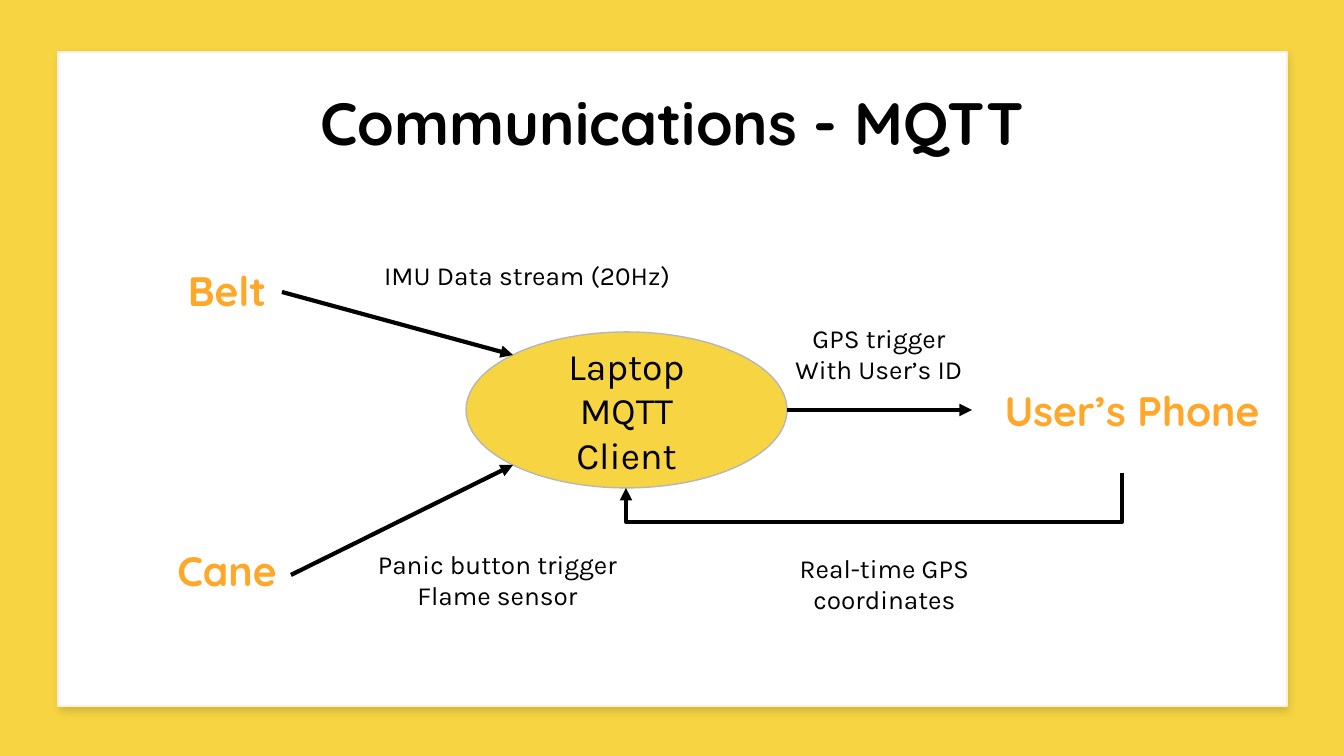
from dataclasses import dataclass

from lxml.etree import SubElement
from pptx import Presentation
from pptx.dml.color import RGBColor
from pptx.enum.shapes import MSO_CONNECTOR as Conn, MSO_SHAPE as Shape
from pptx.enum.text import MSO_ANCHOR as Anchor, PP_ALIGN as Align
from pptx.oxml.ns import qn
from pptx.util import Emu, Inches, Pt

EMU_PER_PX = 914400 / 134.4


@dataclass(frozen=True)
class Theme:
    yellow: str = "F6D442"
    cream: str = "FFEFDD"
    white: str = "FFFFFF"
    orange: str = "FFA728"
    ink: str = "010101"
    black: str = "000000"
    grey: str = "B7B7B7"
    head_font: str = "Quicksand"
    body_font: str = "Karla"
    title: int = 32
    device: int = 22
    hub: int = 20
    note: int = 14
    outline: float = 0.75
    arrow: float = 2.25


def px(n):
    return Emu(round(n * EMU_PER_PX))


def rgb(code):
    return RGBColor.from_string(code)


class Deck:
    def __init__(self, theme):
        self.theme = theme
        self.prs = Presentation()
        self.prs.slide_width, self.prs.slide_height = px(1344), px(756)
        self.slide = None

    def new_slide(self):
        self.slide = self.prs.slides.add_slide(self.prs.slide_layouts[6])
        fill = self.slide.background.fill
        fill.solid()
        fill.fore_color.rgb = rgb(self.theme.yellow)

    def shape(self, kind, box, fill, line=None):
        sp = self.slide.shapes.add_shape(kind, *map(px, box))
        sp.shadow.inherit = False
        sp.fill.solid()
        sp.fill.fore_color.rgb = rgb(fill)
        if line:
            sp.line.color.rgb = rgb(line)
            sp.line.width = Pt(self.theme.outline)
        else:
            sp.line.fill.background()
        return sp

    def drop_shadow(self, sp, blur, dist, angle, opacity):
        effects = sp._element.spPr.find(qn("a:effectLst"))
        shadow = SubElement(effects, qn("a:outerShdw"), blurRad=str(Pt(blur)),
                            dist=str(Pt(dist)), dir=str(angle * 60000),
                            algn="bl", rotWithShape="0")
        color = SubElement(shadow, qn("a:srgbClr"), val=self.theme.black)
        SubElement(color, qn("a:alpha"), val=str(opacity * 1000))

    def add_text(self, sp, lines, font, size, color, bold=False,
                 align=Align.CENTER, anchor=Anchor.MIDDLE):
        tf = sp.text_frame
        tf.word_wrap = True
        tf.vertical_anchor = anchor
        tf.margin_left = tf.margin_right = Inches(0.1)
        tf.margin_top = tf.margin_bottom = Inches(0.1)
        for i, line in enumerate(lines):
            p = tf.add_paragraph() if i else tf.paragraphs[0]
            p.alignment = align
            r = p.add_run()
            r.text = line
            r.font.name, r.font.size, r.font.bold = font, Pt(size), bold
            r.font.color.rgb = rgb(color)

    def heading(self, text, box, size, color):
        sp = self.slide.shapes.add_textbox(*map(px, box))
        self.add_text(sp, [text], self.theme.head_font, size, color, bold=True)

    def note(self, lines, box, align=Align.CENTER):
        sp = self.slide.shapes.add_textbox(*map(px, box))
        self.add_text(sp, lines, self.theme.body_font, self.theme.note,
                      self.theme.black, align=align, anchor=Anchor.TOP)

    def arrow(self, start, end, kind=Conn.STRAIGHT):
        cx = self.slide.shapes.add_connector(kind, *map(px, start + end))
        cx.line.color.rgb = rgb(self.theme.ink)
        cx.line.width = Pt(self.theme.arrow)
        spPr = cx._element.spPr
        SubElement(spPr.find(qn("a:ln")), qn("a:tailEnd"), type="triangle")
        SubElement(spPr, qn("a:effectLst"))
        return cx

    def return_arrow(self, start, end, low):
        """Elbow arrow from start down to y = low, then left and up to end."""
        (x1, y1), (x2, y2) = start, end
        mid_x, mid_y = (x1 + x2) / 2, (y1 + y2) / 2
        half_w, half_h = (y2 - y1) / 2, (x1 - x2) / 2
        cx = self.arrow((mid_x - half_w, mid_y - half_h),
                        (mid_x + half_w, mid_y + half_h), Conn.ELBOW)
        spPr = cx._element.spPr
        spPr.find(qn("a:xfrm")).set("rot", str(90 * 60000))
        guides = spPr.find(qn("a:prstGeom")).get_or_add_avLst()
        bend = round((low - y1) / (y2 - y1) * 100000)
        SubElement(guides, qn("a:gd"), name="adj1", fmla=f"val {bend}")


def main():
    theme = Theme()
    deck = Deck(theme)
    deck.new_slide()

    backing = deck.shape(Shape.RECTANGLE, (58, 51, 1229, 655), theme.cream)
    deck.drop_shadow(backing, blur=4.5, dist=3, angle=64, opacity=14)
    deck.shape(Shape.RECTANGLE, (58, 52, 1229, 654), theme.white, theme.cream)

    deck.heading("Communications - MQTT", (106, 80, 1133, 84),
                 theme.title, theme.ink)
    for name, left, top in (("Belt", 67, 256), ("Cane", 67, 536),
                            ("User’s Phone", 972, 376)):
        deck.heading(name, (left, top, 320, 68), theme.device, theme.orange)

    hub = deck.shape(Shape.OVAL, (466, 332, 321, 156), theme.yellow, theme.grey)
    deck.add_text(hub, ["Laptop", "MQTT Client"], theme.body_font, theme.hub,
                  theme.black)

    for start, end in (((282, 292), (513, 355)),
                       ((291, 575), (513, 465)),
                       ((787, 410), (972, 410))):
        deck.arrow(start, end)
    deck.return_arrow((1122, 473), (626, 488), low=522)

    deck.note(["IMU Data stream (20Hz)"], (371, 246, 581, 59), Align.LEFT)
    deck.note(["Panic button trigger", "Flame sensor"], (347, 535, 301, 90))
    deck.note(["GPS trigger", "With User’s ID"], (767, 309, 224, 90))
    deck.note(["Real-time GPS coordinates"], (758, 539, 253, 90))

    deck.prs.save("out.pptx")


if __name__ == "__main__":
    main()
